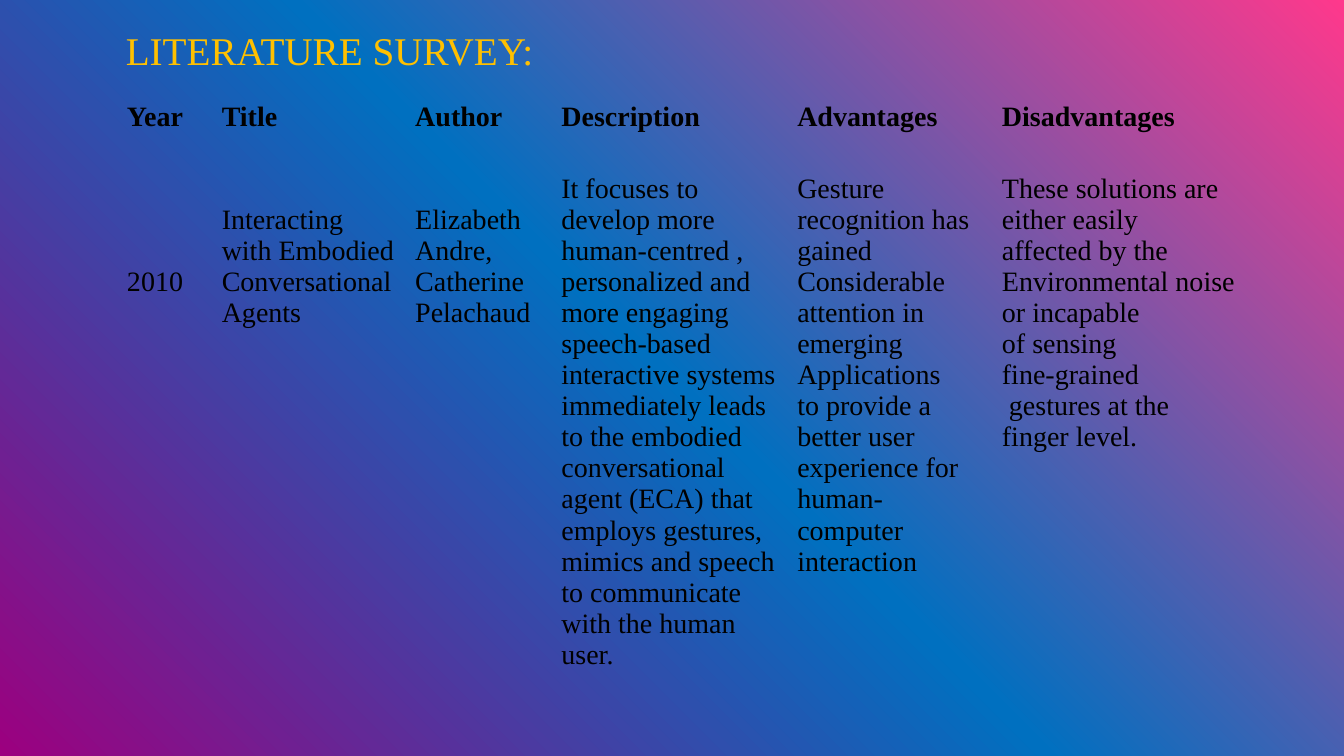
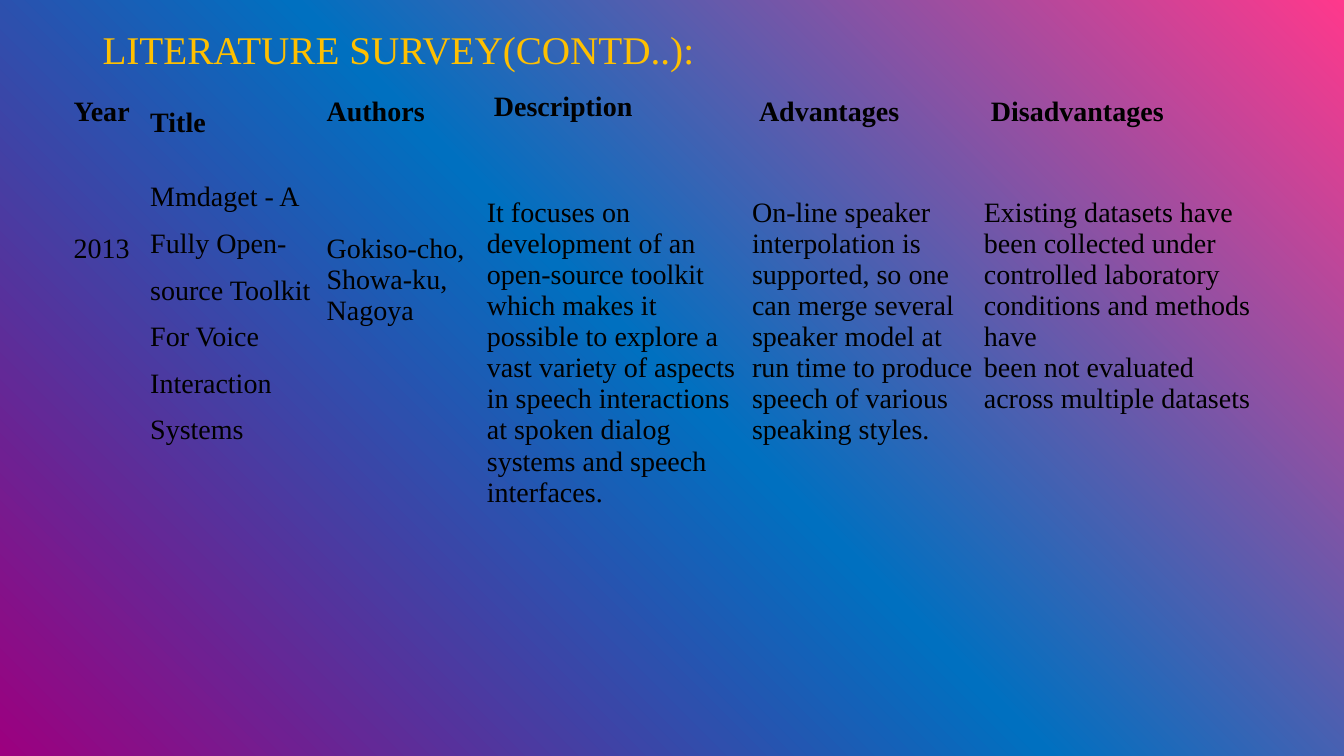
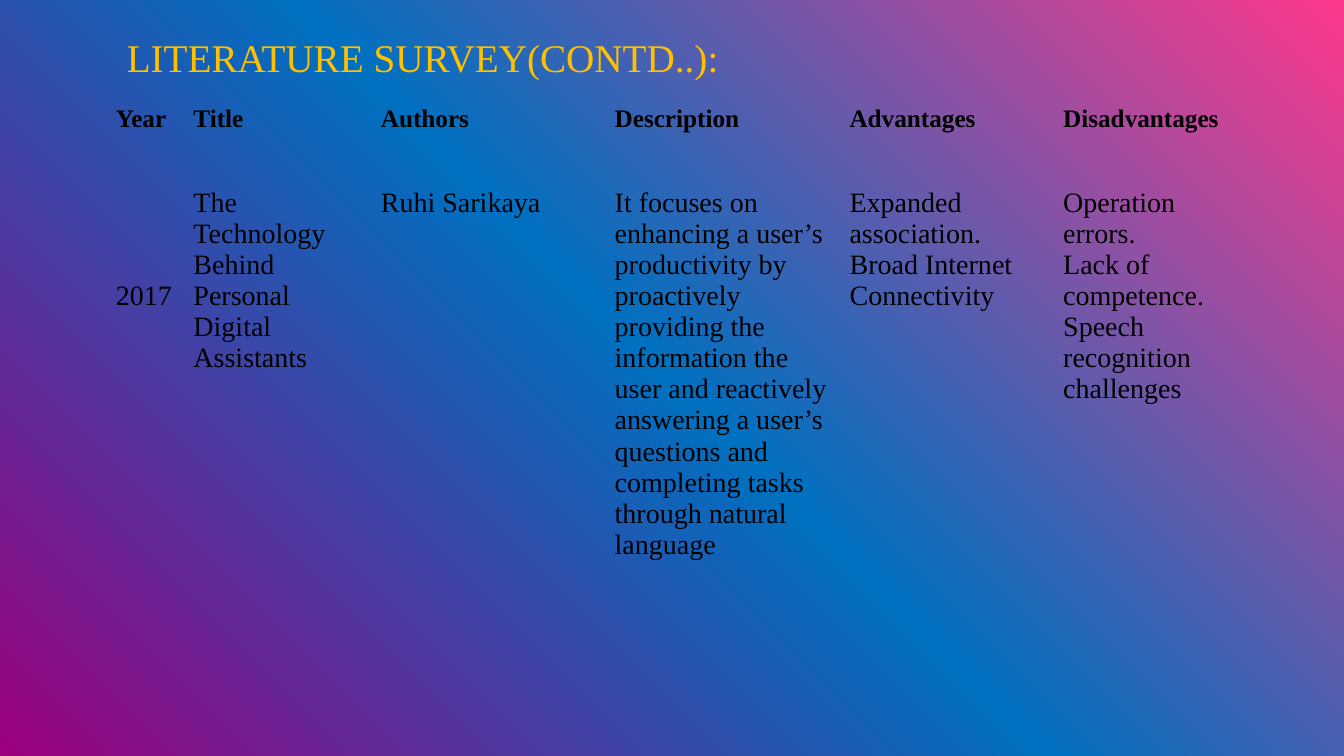
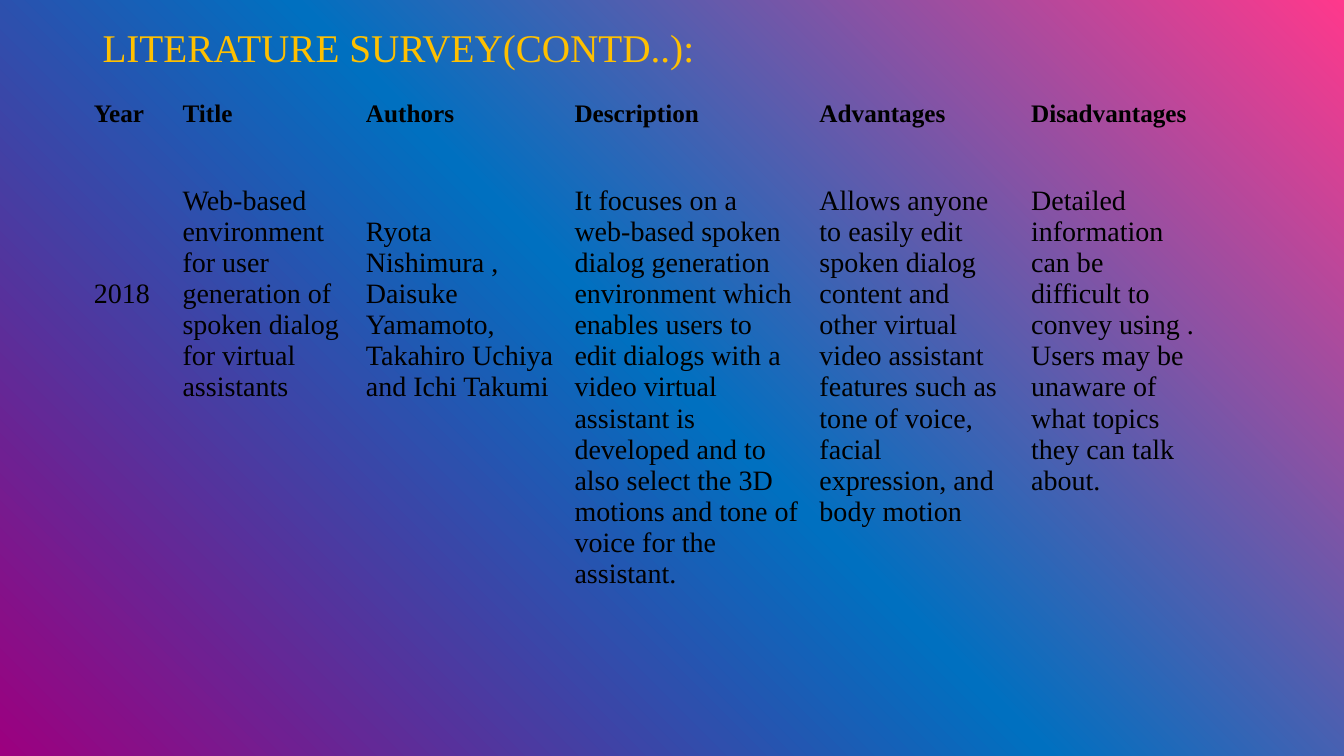
from dataclasses import dataclass

from pptx import Presentation
from pptx.dml.color import RGBColor
from pptx.enum.text import MSO_ANCHOR
from pptx.oxml import parse_xml
from pptx.oxml.ns import nsdecls, qn
from pptx.util import Pt

FONT = "Times New Roman"
GOLD, BLACK = "FFC000", "000000"
STOPS = [(0, "FF388C"), (50, "0070C0"), (100, "9C007F")]
NO_GRID = "{2D5ABB26-0587-4C30-8999-92F81FD0307C}"
LINE = 22.2
WIDE, FLUSH, INSET = (7.2, 3.6, 7.2), (0, 0, 0), (5, 0, 0)


@dataclass
class Cell:
    """Text of a cell, the lines it starts down, its insets and line spacing."""
    text: str
    lead: int = 0
    inset: tuple = WIDE
    space: float = 1.0


def style(frame, size, color, bold=False, space=1.0):
    """Format every run and paragraph of a text frame."""
    for para in frame.paragraphs:
        para.line_spacing = space
        for run in para.runs:
            font = run.font
            font.name, font.size, font.bold = FONT, Pt(size), bold
            font.color.rgb = RGBColor.from_string(color)


def paint(master):
    """Give the master the gradient background that all slides share."""
    stops = "".join(
        f'<a:gs pos="{pos * 1000}"><a:srgbClr val="{color}"/></a:gs>'
        for pos, color in STOPS)
    back = parse_xml(
        f'<p:bg {nsdecls("p", "a")}><p:bgPr><a:gradFill rotWithShape="1">'
        f'<a:gsLst>{stops}</a:gsLst><a:path path="circle">'
        '<a:fillToRect l="100000" b="100000"/></a:path></a:gradFill>'
        '<a:effectLst/></p:bgPr></p:bg>')
    base = master.element.cSld
    old = base.find(qn("p:bg"))
    if old is not None:
        base.remove(old)
    base.insert(0, back)


def add_title(slide, text, box):
    """Place the gold slide title in its box."""
    frame = slide.shapes.add_textbox(*map(Pt, box)).text_frame
    frame.word_wrap = True
    frame.vertical_anchor = MSO_ANCHOR.MIDDLE
    frame.text = text
    style(frame, 28, GOLD, space=0.9)


def fill_cell(spot, cell, size, bold):
    """Write one clear table cell."""
    left, top, right = cell.inset
    spot.fill.background()
    spot.margin_left, spot.margin_right = Pt(left), Pt(right)
    spot.margin_top = Pt(top + cell.lead * LINE)
    spot.margin_bottom = Pt(top)
    spot.text_frame.text = cell.text
    style(spot.text_frame, size, BLACK, bold, cell.space)


def add_survey(slide, spot, cols, rows, heads, body, size):
    """Place the survey table with a bold head row and one body row."""
    box = (*spot, sum(cols), sum(rows))
    shape = slide.shapes.add_table(2, len(cols), *map(Pt, box))
    shape.element.xpath(".//a:tableStyleId")[0].text = NO_GRID
    table = shape.table
    table.first_row = table.horz_banding = False
    for col, width in zip(table.columns, cols):
        col.width = Pt(width)
    for row, height in zip(table.rows, rows):
        row.height = Pt(height)
    for i, (head, cell) in enumerate(zip(heads, body)):
        fill_cell(table.cell(0, i), head, size, True)
        fill_cell(table.cell(1, i), cell, 20, False)


def name_heads(author="Authors"):
    """Return the usual head row."""
    return [Cell(name) for name in ("Year", "Title", author, "Description",
                                    "Advantages", "Disadvantages")]


MORE = "LITERATURE SURVEY(CONTD..):"

PAGES = [
    dict(
        title="LITERATURE SURVEY:", box=(82.8, 18.7, 702, 37.4),
        spot=(83.5, 69.1), cols=(67.7, 138.2, 104.4, 168.5, 146.2, 193),
        rows=(51, 348.5), size=20, heads=name_heads("Author"),
        body=[
            Cell("2010", 3),
            Cell("Interacting with Embodied Conversational Agents", 1),
            Cell("Elizabeth Andre,\nCatherine Pelachaud", 1),
            Cell("It focuses to develop more human-centred , personalized and "
                 "more engaging speech-based interactive systems immediately "
                 "leads to the embodied conversational agent (ECA) that "
                 "employs gestures, mimics and speech to communicate with the "
                 "human user."),
            Cell("Gesture\nrecognition has gained\nConsiderable\nattention in\n"
                 "emerging\nApplications\nto provide a better user experience "
                 "for human- computer interaction"),
            Cell("These solutions are either easily\naffected by the "
                 "Environmental noise\nor incapable\nof sensing\nfine-grained\n"
                 " gestures at the\nfinger level."),
        ]),
    dict(
        title=MORE, box=(66.2, 14.4, 702, 45.4),
        spot=(45.4, 65.5), cols=(56.9, 123.8, 121.7, 189.4, 165.6, 195.1),
        rows=(53.3, 360.7), size=20,
        heads=[
            Cell("Year"), Cell("Title", 0, INSET, 1.5), Cell("Authors"),
            Cell("Description", 0, INSET), Cell("Advantages", 0, INSET, 1.15),
            Cell("Disadvantages", 0, INSET, 1.15),
        ],
        body=[
            Cell("2013", 2),
            Cell("Mmdaget - A Fully Open-source Toolkit For Voice Interaction "
                 "Systems", 0, INSET, 1.5),
            Cell("Gokiso-cho, Showa-ku, Nagoya", 2),
            Cell("It focuses on development of an open-source toolkit which "
                 "makes it possible to explore a vast variety of aspects in "
                 "speech interactions at spoken dialog systems and speech "
                 "interfaces.", 1, FLUSH),
            Cell("On-line speaker interpolation is supported, so one can merge "
                 "several speaker model at run time to produce speech of "
                 "various speaking styles.", 1, FLUSH),
            Cell("Existing datasets have been collected under controlled "
                 "laboratory conditions and methods have\nbeen not evaluated "
                 "across multiple datasets", 1, FLUSH),
        ]),
    dict(
        title=MORE, box=(83.5, 25.2, 702, 35.3),
        spot=(75.6, 71.3), cols=(55.4, 133.9, 167, 167.8, 152.6, 141.1),
        rows=(59, 375.1), size=18, heads=name_heads(),
        body=[
            Cell("2017", 3),
            Cell("The Technology Behind Personal Digital Assistants"),
            Cell("Ruhi Sarikaya"),
            Cell("It focuses on enhancing a user’s productivity by proactively "
                 "providing the information the user and reactively answering "
                 "a user’s questions and completing tasks through natural "
                 "language"),
            Cell("Expanded association.\nBroad Internet Connectivity"),
            Cell("Operation errors.\nLack of competence.\n"
                 "Speech recognition challenges"),
        ]),
    dict(
        title=MORE, box=(66.2, 15.1, 702, 41),
        spot=(59.8, 67.7), cols=(63.4, 131, 149, 175, 151.2, 133.2),
        rows=(61.2, 362.2), size=18, heads=name_heads(),
        body=[
            Cell("2018", 3),
            Cell("Web-based environment for user generation of spoken dialog "
                 "for virtual assistants"),
            Cell("Ryota Nishimura , Daisuke Yamamoto, Takahiro Uchiya and Ichi "
                 "Takumi", 1),
            Cell("It focuses on a web-based spoken dialog generation "
                 "environment which enables users to edit dialogs with a video "
                 "virtual assistant is developed and to also select the 3D "
                 "motions and tone of voice for the assistant."),
            Cell("Allows anyone to easily edit spoken dialog content and "
                 "other virtual \nvideo assistant \nfeatures such as tone of "
                 "voice, facial expression, and body motion"),
            Cell("Detailed information can be difficult to convey using .\n"
                 "Users may be unaware of what topics they can talk about."),
        ]),
]


def main():
    """Build and save the deck."""
    deck = Presentation()
    deck.slide_width, deck.slide_height = Pt(960), Pt(540)
    paint(deck.slide_master)
    for page in PAGES:
        slide = deck.slides.add_slide(deck.slide_layouts[6])
        add_title(slide, page["title"], page["box"])
        add_survey(slide, page["spot"], page["cols"], page["rows"],
                   page["heads"], page["body"], page["size"])
    deck.save("out.pptx")


if __name__ == "__main__":
    main()
